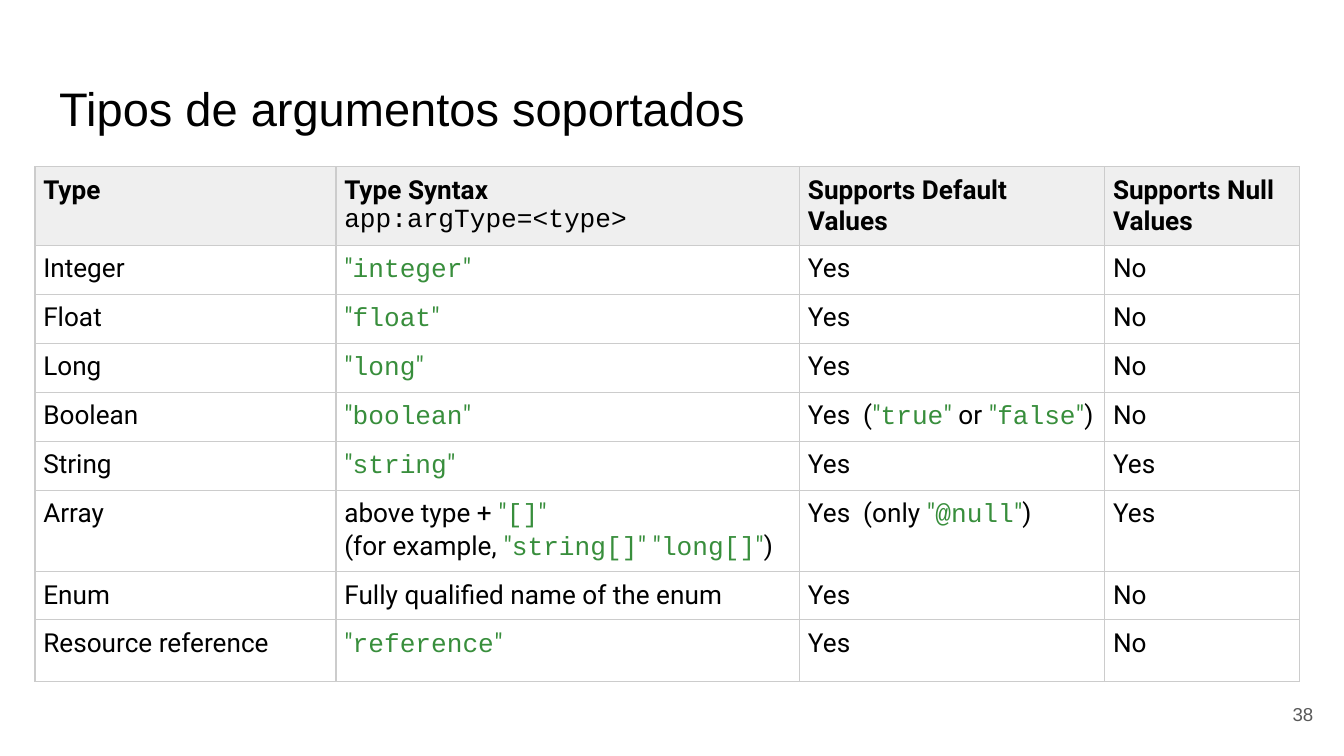
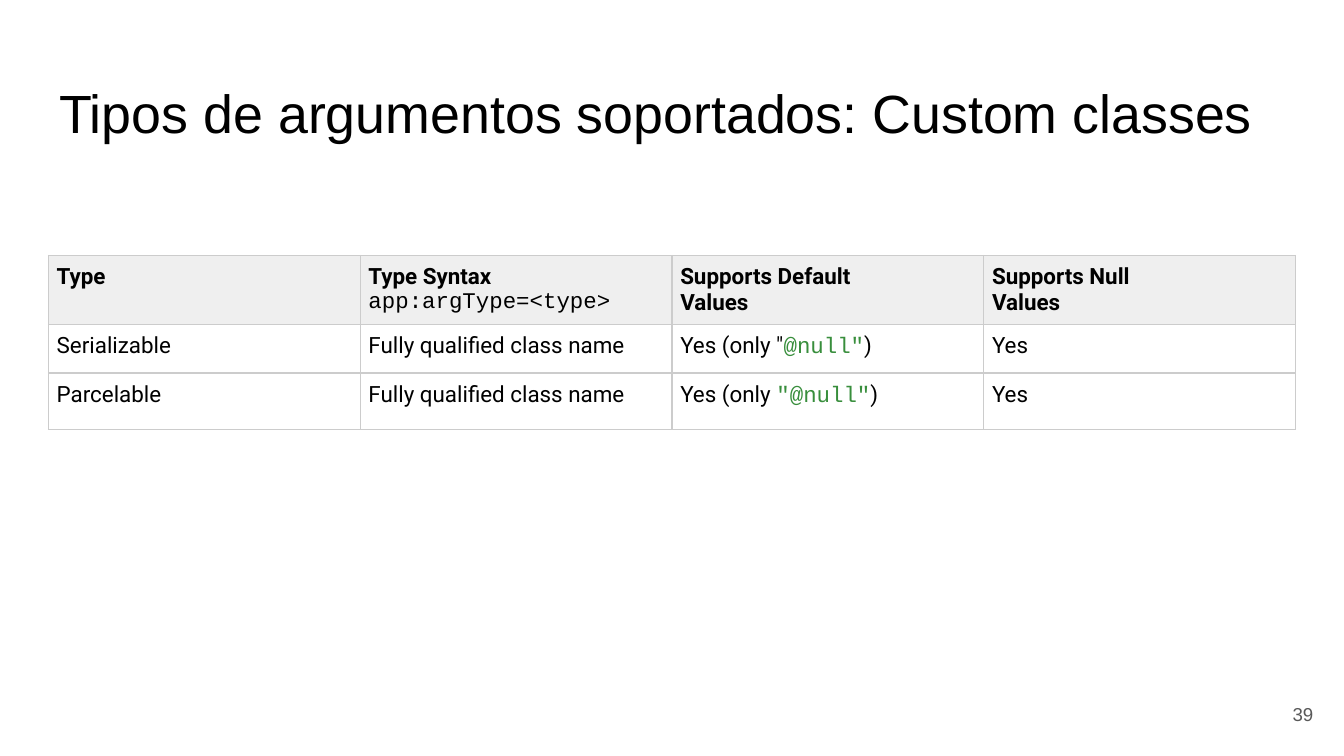
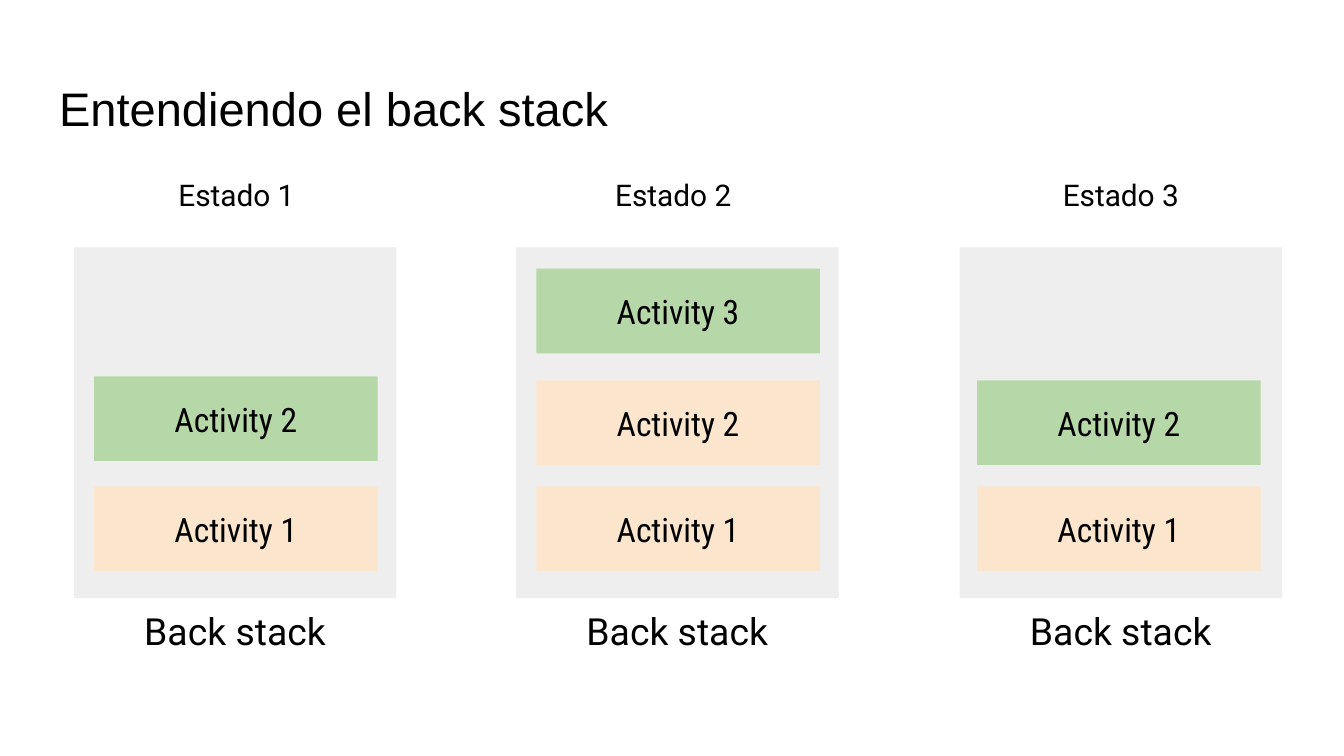
from lxml import etree
from pptx import Presentation
from pptx.dml.color import RGBColor as RGB
from pptx.enum.shapes import MSO_SHAPE as SHAPE
from pptx.enum.text import MSO_ANCHOR as ANCHOR, MSO_AUTO_SIZE as AUTO, PP_ALIGN as ALIGN
from pptx.oxml.ns import qn
from pptx.util import Inches, Pt

COLORS = {
    "text": "000000", "number": "595959", "code": "388E3C",
    "border": "CCCCCC", "header": "EFEFEF",
    "stack": "EEEEEE", "below": "FCE5CD", "top": "B6D7A8",
}
# style: font, color, bold
STYLES = {
    "title": ("Arial", "text", False),
    "number": ("Arial", "number", False),
    "plain": ("Roboto", "text", False),
    "bold": ("Roboto", "text", True),
    "syntax": ("Courier New", "text", False),
    "quote": ("Roboto", "code", False),
    "code": ("Courier New", "code", False),
    "card": ("Roboto Condensed", "text", False),
}
CELL_MARGIN = Pt(4.5)


def quoted(name):
    return [('"', "quote"), (name, "code"), ('"', "quote")]


def write(tf, lines, size, align=ALIGN.LEFT, anchor=ANCHOR.TOP):
    """Fill a text frame; each line is a list of (text, style) runs."""
    tf.word_wrap = True
    tf.auto_size = AUTO.NONE
    tf.vertical_anchor = anchor
    tf.margin_left = tf.margin_right = Inches(0.1)
    tf.margin_top = tf.margin_bottom = Inches(0.1)
    for i, runs in enumerate(lines):
        p = tf.add_paragraph() if i else tf.paragraphs[0]
        p.alignment = align
        for text, style in runs:
            font, color, bold = STYLES[style]
            r = p.add_run()
            r.text = text
            r.font.name = font
            r.font.size = Pt(size)
            r.font.bold = bold
            r.font.color.rgb = RGB.from_string(COLORS[color])


prs = Presentation()
prs.slide_width = Inches(10)
prs.slide_height = Inches(10) * 9 // 16

# Titles and slide numbers
slides = []
for title, size, number in [
    ("Tipos de argumentos soportados", 25.2, "38"),
    ("Tipos de argumentos soportados: Custom classes", 28.8, "39"),
    ("Entendiendo el back stack", 25.2, None),
]:
    s = prs.slides.add_slide(prs.slide_layouts[5])
    slides.append(s)
    sp = s.shapes.title
    sp.left, sp.top = Inches(0.34), Inches(0.49)
    sp.width, sp.height = Inches(9.32), Inches(0.63)
    write(sp.text_frame, [[(title, "title")]], size)
    if number:
        sp = s.shapes.add_textbox(Inches(9.27), Inches(5.1), Inches(0.6), Inches(0.43))
        write(sp.text_frame, [[(number, "number")]], 10, ALIGN.RIGHT, ANCHOR.MIDDLE)

# Argument type tables: a cell is plain text or a list of lines
HEADER = [
    [[("Type", "bold")]],
    [[("Type Syntax", "bold")], [("app:argType=<type>", "syntax")]],
    [[("Supports Default", "bold")], [("Values", "bold")]],
    [[("Supports Null", "bold")], [("Values", "bold")]],
]
CLOSE = (")", "plain")
true_or_false = [("Yes  (", "plain"), *quoted("true"), (" or ", "plain"),
                 *quoted("false"), CLOSE]
array_syntax = [
    [("above type + ", "plain"), *quoted("[]")],
    [("(for example, ", "plain"), *quoted("string[]"), (" ", "quote"),
     *quoted("long[]"), CLOSE],
]
basic_types = [
    HEADER,
    ["Integer", [quoted("integer")], "Yes", "No"],
    ["Float", [quoted("float")], "Yes", "No"],
    ["Long", [quoted("long")], "Yes", "No"],
    ["Boolean", [quoted("boolean")], [true_or_false], "No"],
    ["String", [quoted("string")], "Yes", "Yes"],
    ["Array", array_syntax, [[("Yes  (only ", "plain"), *quoted("@null"), CLOSE]], "Yes"],
    ["Enum", "Fully qualified name of the enum", "Yes", "No"],
    ["Resource reference", [quoted("reference")], "Yes", "No"],
]
custom_classes = [
    HEADER,
    ["Serializable", "Fully qualified class name",
     [[('Yes (only "', "plain"), ('@null"', "code"), CLOSE]], "Yes"],
    ["Parcelable", "Fully qualified class name",
     [[("Yes (only ", "plain"), ('"@null"', "code"), CLOSE]], "Yes"],
]
for s, rows, left, top, widths, heights, size in [
    (slides[0], basic_types, 0.26, 1.24, [2.24, 3.45, 2.27, 1.45],
     [0.42, 0.29, 0.28, 0.29, 0.3, 0.29, 0.5, 0.36, 0.46], 14),
    (slides[1], custom_classes, 0.36, 1.9, [2.32] * 4, [0.43, 0.36, 0.42], 12),
]:
    table = s.shapes.add_table(len(rows), len(widths), Inches(left), Inches(top),
                               Inches(sum(widths)), Inches(sum(heights))).table
    table.first_row = table.horz_banding = False
    for col, width in zip(table.columns, widths):
        col.width = Inches(width)
    for i, (row, height) in enumerate(zip(rows, heights)):
        table.rows[i].height = Inches(height)
        for j, content in enumerate(row):
            cell = table.cell(i, j)
            lines = [[(content, "plain")]] if isinstance(content, str) else content
            write(cell.text_frame, lines, size)
            cell.margin_left = cell.margin_right = CELL_MARGIN
            cell.margin_top = cell.margin_bottom = CELL_MARGIN
            cell.vertical_anchor = ANCHOR.TOP
            tc_pr = cell._tc.get_or_add_tcPr()
            for side in ("a:lnL", "a:lnR", "a:lnT", "a:lnB"):
                ln = etree.SubElement(tc_pr, qn(side), w=str(Pt(0.75)))
                fill = etree.SubElement(ln, qn("a:solidFill"))
                etree.SubElement(fill, qn("a:srgbClr"), val=COLORS["border"])
            if i == 0:
                cell.fill.solid()
                cell.fill.fore_color.rgb = RGB.from_string(COLORS["header"])
            else:
                cell.fill.background()

# Back stack states: the topmost activity is highlighted
STACK_WIDTH = 2.4
s = slides[2]
for state, (stack_left, card_left, label_left, card_tops) in enumerate([
    (0.55, 0.7, 0.56, [3.62, 2.8]),
    (3.84, 3.99, 3.81, [3.62, 2.83, 2]),
    (7.14, 7.27, 7.14, [3.62, 2.83]),
], start=1):
    boxes = [(stack_left, 1.84, STACK_WIDTH, 2.61, "stack", None)]
    for level, card_top in enumerate(card_tops, start=1):
        color = "top" if level == len(card_tops) else "below"
        boxes.append((card_left, card_top, 2.11, 0.63, color, f"Activity {level}"))
    for x, y, w, h, color, label in boxes:
        sp = s.shapes.add_shape(SHAPE.RECTANGLE, Inches(x), Inches(y), Inches(w), Inches(h))
        sp.shadow.inherit = False
        sp.fill.solid()
        sp.fill.fore_color.rgb = RGB.from_string(COLORS[color])
        sp.line.fill.background()
        if label:
            write(sp.text_frame, [[(label, "card")]], 18, ALIGN.CENTER, ANCHOR.MIDDLE)
    for text, x, y, h, size in [(f"Estado {state}", label_left, 1.33, 0.24, 16),
                                ("Back stack", stack_left, 4.53, 0.32, 20)]:
        sp = s.shapes.add_textbox(Inches(x), Inches(y), Inches(STACK_WIDTH), Inches(h))
        write(sp.text_frame, [[(text, "plain")]], size, ALIGN.CENTER, ANCHOR.MIDDLE)

prs.save("out.pptx")
